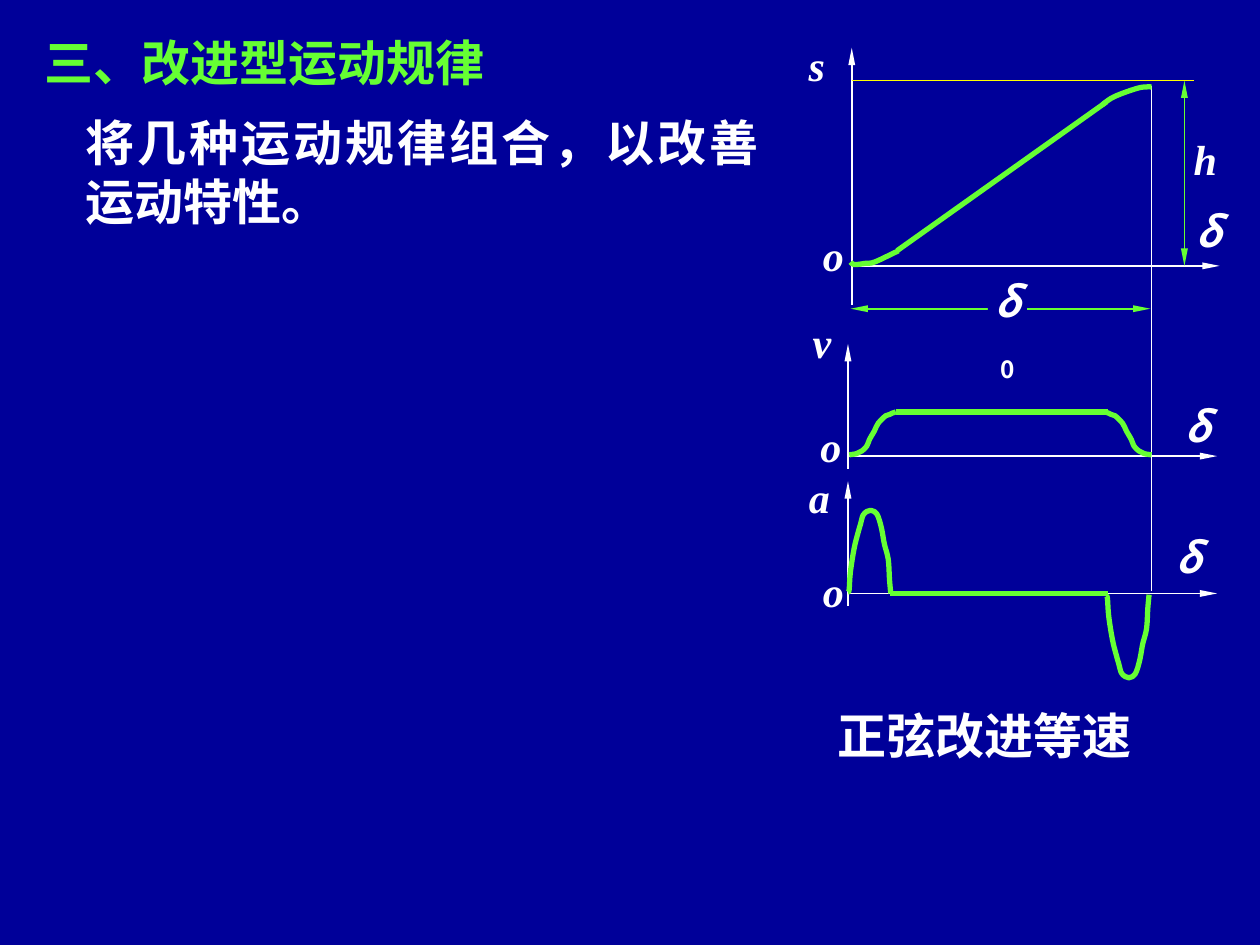
from dataclasses import dataclass

from lxml.etree import SubElement
from pptx import Presentation
from pptx.dml.color import RGBColor
from pptx.enum.shapes import MSO_CONNECTOR, MSO_SHAPE
from pptx.enum.text import MSO_ANCHOR, MSO_AUTO_SIZE, PP_ALIGN
from pptx.oxml.ns import qn
from pptx.util import Inches, Pt


@dataclass(frozen=True)
class Theme:
    background: RGBColor = RGBColor(0x00, 0x00, 0x99)
    text: RGBColor = RGBColor(0xFF, 0xFF, 0xFF)
    accent: RGBColor = RGBColor(0x66, 0xFF, 0x33)
    limit: RGBColor = RGBColor(0xFF, 0xFF, 0x00)
    chinese: str = "Noto Sans CJK SC"
    latin: str = "Times New Roman"
    heading_size: int = 28
    label_size: int = 24
    body_spacing: float = 33.7
    thin: float = 1
    thick: float = 3


def bezier_segments(knots):
    """Return two control points and an end point for each smooth span."""
    padded = [knots[0], *knots, knots[-1]]
    return [
        (tuple(q + (r - p) / 6 for p, q, r in zip(a, b, c)),
         tuple(r - (s - q) / 6 for q, r, s in zip(b, c, d)), c)
        for a, b, c, d in zip(padded, padded[1:], padded[2:], padded[3:])]


class SlideBuilder:
    def __init__(self, presentation, theme):
        self.theme = theme
        self.slide = presentation.slides.add_slide(presentation.slide_layouts[5])
        self.slide.background.fill.solid()
        self.slide.background.fill.fore_color.rgb = theme.background

    def add_run(self, paragraph, text, size, color=None, font=None, italic=False):
        run = paragraph.add_run()
        run.text = text
        run.font.size = Pt(size)
        run.font.name = font or self.theme.chinese
        run.font.bold = True
        run.font.italic = italic
        run.font.color.rgb = color or self.theme.text
        east_asian = SubElement(run._r.get_or_add_rPr(), qn("a:ea"))
        east_asian.set("typeface", self.theme.chinese)
        return run

    def prepare_frame(self, shape, margins, wrap, anchor, alignment):
        frame = shape.text_frame
        frame.auto_size = MSO_AUTO_SIZE.NONE
        frame.word_wrap = wrap
        frame.vertical_anchor = anchor
        frame.margin_left = frame.margin_right = Inches(margins[0])
        frame.margin_top = frame.margin_bottom = Inches(margins[1])
        paragraph = frame.paragraphs[0]
        paragraph.alignment = alignment
        return paragraph

    def title(self, text, left, top, width, height):
        shape = self.slide.shapes.title
        shape.left, shape.top = Inches(left), Inches(top)
        shape.width, shape.height = Inches(width), Inches(height)
        paragraph = self.prepare_frame(shape, (0.1, 0.05), True,
                                       MSO_ANCHOR.MIDDLE, PP_ALIGN.JUSTIFY)
        self.add_run(paragraph, text, self.theme.heading_size, self.theme.accent)

    def text_box(self, left, top, width, height):
        return self.slide.shapes.add_textbox(
            Inches(left), Inches(top), Inches(width), Inches(height))

    def body(self, text, left, top, width, height):
        paragraph = self.prepare_frame(
            self.text_box(left, top, width, height), (0.1, 0.05), True,
            MSO_ANCHOR.TOP, PP_ALIGN.JUSTIFY)
        paragraph.line_spacing = Pt(self.theme.body_spacing)
        self.add_run(paragraph, text, self.theme.heading_size)

    def caption(self, text, left, top, width, height):
        paragraph = self.prepare_frame(
            self.text_box(left, top, width, height), (0.1, 0.05), False,
            MSO_ANCHOR.MIDDLE, PP_ALIGN.CENTER)
        self.add_run(paragraph, text, self.theme.heading_size)

    def label(self, text, left, top, width, font=None):
        paragraph = self.prepare_frame(
            self.text_box(left, top, width, 0.4), (0, 0), False,
            MSO_ANCHOR.TOP, PP_ALIGN.CENTER)
        self.add_run(paragraph, text, self.theme.label_size,
                     font=font or self.theme.latin, italic=True)

    def panel(self, left, top, width, height):
        shape = self.slide.shapes.add_shape(
            MSO_SHAPE.RECTANGLE, Inches(left), Inches(top), Inches(width), Inches(height))
        shape.shadow.inherit = False
        shape.fill.solid()
        shape.fill.fore_color.rgb = self.theme.background
        shape.line.fill.background()
        return shape

    def span_label(self, symbol, subscript, left, top, width, height):
        """Add a filled label that interrupts the dimension line behind it."""
        paragraph = self.prepare_frame(
            self.panel(left, top, width, height), (0.03, 0), True,
            MSO_ANCHOR.TOP, PP_ALIGN.CENTER)
        self.add_run(paragraph, symbol, self.theme.label_size, italic=True)
        run = self.add_run(paragraph, subscript, self.theme.label_size)
        run._r.get_or_add_rPr().set("baseline", "-25000")

    def line(self, start, end, color, width, arrows=()):
        """Draw a line; arrows names the ends (headEnd, tailEnd) with arrowheads."""
        connector = self.slide.shapes.add_connector(
            MSO_CONNECTOR.STRAIGHT, *(Inches(value) for value in (*start, *end)))
        connector.line.color.rgb = color
        connector.line.width = Pt(width)
        for end_name in arrows:
            arrow = SubElement(connector.line._get_or_add_ln(), qn(f"a:{end_name}"))
            for key, value in (("type", "triangle"), ("w", "sm"), ("len", "lg")):
                arrow.set(key, value)
        SubElement(connector._element.spPr, qn("a:effectLst"))

    def axis(self, start, end):
        self.line(start, end, self.theme.text, self.theme.thin, ["tailEnd"])

    def dimension(self, start, end):
        self.line(start, end, self.theme.accent, self.theme.thin, ["headEnd", "tailEnd"])

    def curve(self, knots):
        """Draw a freeform whose straight spans are replaced by Bezier spans."""
        points = [(Inches(x), Inches(y)) for x, y in knots]
        builder = self.slide.shapes.build_freeform(*points[0])
        builder.add_line_segments(points[1:], close=False)
        shape = builder.convert_to_shape()
        outline = shape._element.spPr.find(".//" + qn("a:path"))
        for straight in outline.findall(qn("a:lnTo")):
            outline.remove(straight)
        for segment in bezier_segments(points):
            span = SubElement(outline, qn("a:cubicBezTo"))
            for x, y in segment:
                point = SubElement(span, qn("a:pt"))
                point.set("x", str(round(x - shape.left)))
                point.set("y", str(round(y - shape.top)))
        shape.shadow.inherit = False
        shape.fill.background()
        shape.line.color.rgb = self.theme.accent
        shape.line.width = Pt(self.theme.thick)


def main():
    presentation = Presentation()
    presentation.slide_width, presentation.slide_height = Inches(10), Inches(7.5)
    theme = Theme()
    builder = SlideBuilder(presentation, theme)

    builder.title("三、改进型运动规律", 0.25, 0.21, 4.77, 0.57)
    builder.body("将几种运动规律组合，以改善运动特性。", 0.58, 0.84, 5.54, 1.04)
    builder.caption("正弦改进等速", 6.55, 5.55, 2.53, 0.57)

    builder.panel(6.35, 0.28, 3.65, 5.18)
    builder.line((9.14, 0.68), (9.14, 4.69), theme.text, theme.thin)
    for origin_x, bottom, top, axis_x, axis_y, right in (
            (6.76, 2.42, 0.38, 6.77, 2.11, 9.68),
            (6.73, 3.72, 2.73, 6.74, 3.62, 9.66),
            (6.73, 4.81, 3.82, 6.74, 4.71, 9.66)):
        builder.axis((axis_x, axis_y), (right, axis_y))
        builder.axis((origin_x, bottom), (origin_x, top))
    builder.line((6.76, 0.64), (9.48, 0.64), theme.limit, theme.thin)
    builder.dimension((9.4, 2.11), (9.4, 0.64))
    builder.dimension((6.75, 2.45), (9.13, 2.45))

    for text, left, top, width in (
            ("s ", 6.42, 0.31, 0.21), ("v ", 6.45, 2.51, 0.23), ("a ", 6.42, 3.74, 0.25),
            ("h", 9.47, 1.06, 0.19),
            ("o", 6.53, 1.82, 0.17), ("o", 6.51, 3.34, 0.17), ("o", 6.53, 4.49, 0.17)):
        builder.label(text, left, top, width)
    for left, top in ((9.49, 1.63), (9.4, 3.18), (9.33, 4.22)):
        builder.label("δ", left, top, 0.2, theme.chinese)
    builder.span_label("δ", "0", 7.84, 2.19, 0.31, 0.46)

    displacement_start = [(6.75, 2.08), (6.78, 2.1), (6.87, 2.09), (6.94, 2.08),
                          (7.09, 2.01), (7.13, 1.99)]
    displacement_end = [(8.75, 0.83), (8.82, 0.78), (8.91, 0.74), (9.03, 0.7),
                        (9.09, 0.69), (9.14, 0.69)]
    velocity_rise = [(6.74, 3.61), (6.8, 3.6), (6.84, 3.58), (6.88, 3.54), (6.9, 3.49),
                     (6.94, 3.42), (6.97, 3.36), (7.03, 3.3), (7.06, 3.29), (7.08, 3.28),
                     (7.11, 3.27)]
    velocity_fall = [(6.74 + 9.14 - x, y) for x, y in velocity_rise]
    acceleration = [(6.73, 4.7), (6.74, 4.68), (6.75, 4.54), (6.78, 4.35), (6.81, 4.23),
                    (6.83, 4.16), (6.85, 4.09), (6.88, 4.06), (6.91, 4.05), (6.94, 4.06),
                    (6.96, 4.08), (6.98, 4.13), (7, 4.21), (7.02, 4.32), (7.05, 4.44),
                    (7.06, 4.6), (7.07, 4.71)]
    deceleration = [(x + 2.05, 4.71 + 4.72 - y) for x, y in acceleration]
    for knots in (displacement_start, displacement_end, velocity_rise, velocity_fall,
                  acceleration, deceleration):
        builder.curve(knots)
    for start, end in (((7.12, 1.99), (8.78, 0.81)),
                       ((7.11, 3.27), (8.79, 3.27)),
                       ((7.06, 4.71), (8.79, 4.71))):
        builder.line(start, end, theme.accent, theme.thick)

    presentation.save("out.pptx")


if __name__ == "__main__":
    main()
